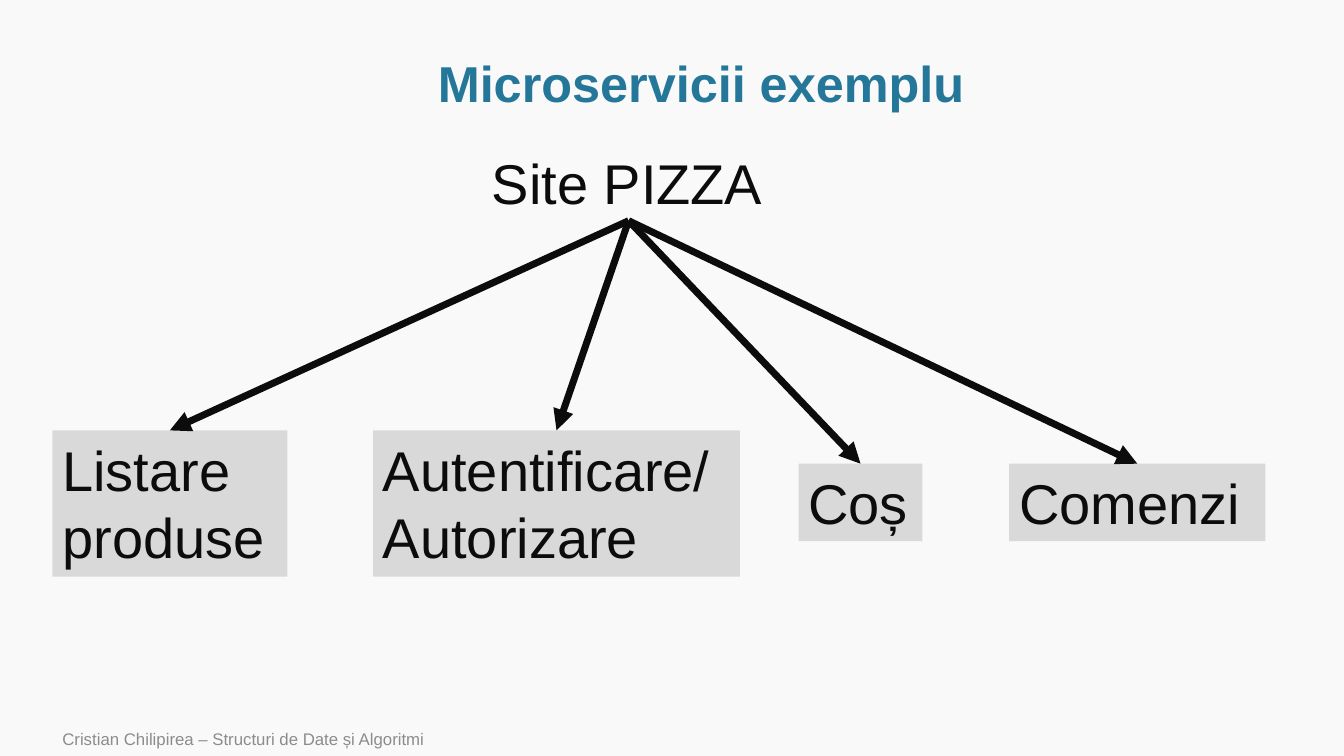
import pptx
import pptx.dml.color
import pptx.enum.shapes
import pptx.enum.text
import pptx.oxml
import pptx.oxml.ns
import pptx.util
from pptx.util import Inches

COLORS = {
    "background": "F9F9F9",
    "title": "247798",
    "ink": "0C0C0C",
    "service": "D9D9D9",
    "footer": "8C8C8C",
}
FONT = "Arial"
BOTTOM, TOP = 2, 0
SERVICES = [
    ("Listare produse", 0.52, 4.27, 2.33, 1.45),
    ("Autentificare/Autorizare", 3.7, 4.27, 3.64, 1.45),
    ("Coș", 7.92, 4.6, 1.23, 0.77),
    ("Comenzi", 10.01, 4.6, 2.54, 0.77),
]


def color(name):
    return pptx.dml.color.RGBColor.from_string(COLORS[name])


def write(shape, text, size, ink, align=pptx.enum.text.PP_ALIGN.LEFT, bold=False):
    paragraph = shape.text_frame.paragraphs[0]
    paragraph.alignment = align
    run = paragraph.add_run()
    run.text = text
    run.font.name = FONT
    run.font.size = pptx.util.Pt(size)
    run.font.bold = bold
    run.font.color.rgb = color(ink)
    return paragraph


def add_title(slide, text):
    title = slide.shapes.title
    title.left, title.top = Inches(1.14), Inches(0.51)
    title.width, title.height = Inches(11.63), Inches(0.69)
    title.text_frame.vertical_anchor = pptx.enum.text.MSO_ANCHOR.MIDDLE
    paragraph = write(title, text, 36, "title", pptx.enum.text.PP_ALIGN.CENTER, True)
    paragraph.line_spacing = 0.9


def add_label(slide, text, box, size, ink, wrap, anchor):
    label = slide.shapes.add_textbox(*map(Inches, box))
    label.text_frame.word_wrap = wrap
    label.text_frame.vertical_anchor = anchor
    write(label, text, size, ink)
    return label


def add_service(slide, text, box):
    service = slide.shapes.add_shape(
        pptx.enum.shapes.MSO_SHAPE.RECTANGLE, *map(Inches, box))
    service.shadow.inherit = False
    service.fill.solid()
    service.fill.fore_color.rgb = color("service")
    service.line.fill.background()
    frame = service.text_frame
    frame.word_wrap = True
    frame.vertical_anchor = pptx.enum.text.MSO_ANCHOR.TOP
    frame.auto_size = pptx.enum.text.MSO_AUTO_SIZE.SHAPE_TO_FIT_TEXT
    write(service, text, 40, "ink")
    return service


def add_arrow(slide, source, target):
    arrow = slide.shapes.add_connector(
        pptx.enum.shapes.MSO_CONNECTOR.STRAIGHT, 0, 0, 0, 0)
    arrow.begin_connect(source, BOTTOM)
    arrow.end_connect(target, TOP)
    arrow.line.color.rgb = color("ink")
    arrow.line.width = pptx.util.Pt(5)
    head = pptx.oxml.parse_xml(
        f'<a:tailEnd {pptx.oxml.ns.nsdecls("a")} type="triangle"/>')
    arrow.line._get_or_add_ln().append(head)
    effects = pptx.oxml.parse_xml(f'<a:effectLst {pptx.oxml.ns.nsdecls("a")}/>')
    arrow._element.spPr.append(effects)


def main():
    deck = pptx.Presentation()
    deck.slide_width, deck.slide_height = Inches(13.33), Inches(7.5)
    slide = deck.slides.add_slide(deck.slide_layouts[5])
    slide.background.fill.solid()
    slide.background.fill.fore_color.rgb = color("background")

    add_label(slide, "Cristian Chilipirea – Structuri de Date și Algoritmi",
              (0.52, 7.16, 8.4, 0.34), 12, "footer", True,
              pptx.enum.text.MSO_ANCHOR.MIDDLE)
    add_title(slide, "Microservicii exemplu")
    site = add_label(slide, "Site PIZZA", (4.78, 1.42, 2.91, 0.77), 40, "ink",
                     False, pptx.enum.text.MSO_ANCHOR.TOP)
    site.text_frame.auto_size = pptx.enum.text.MSO_AUTO_SIZE.SHAPE_TO_FIT_TEXT

    services = [add_service(slide, text, box) for text, *box in SERVICES]
    for service in services:
        add_arrow(slide, site, service)
    deck.save("out.pptx")


if __name__ == "__main__":
    main()
